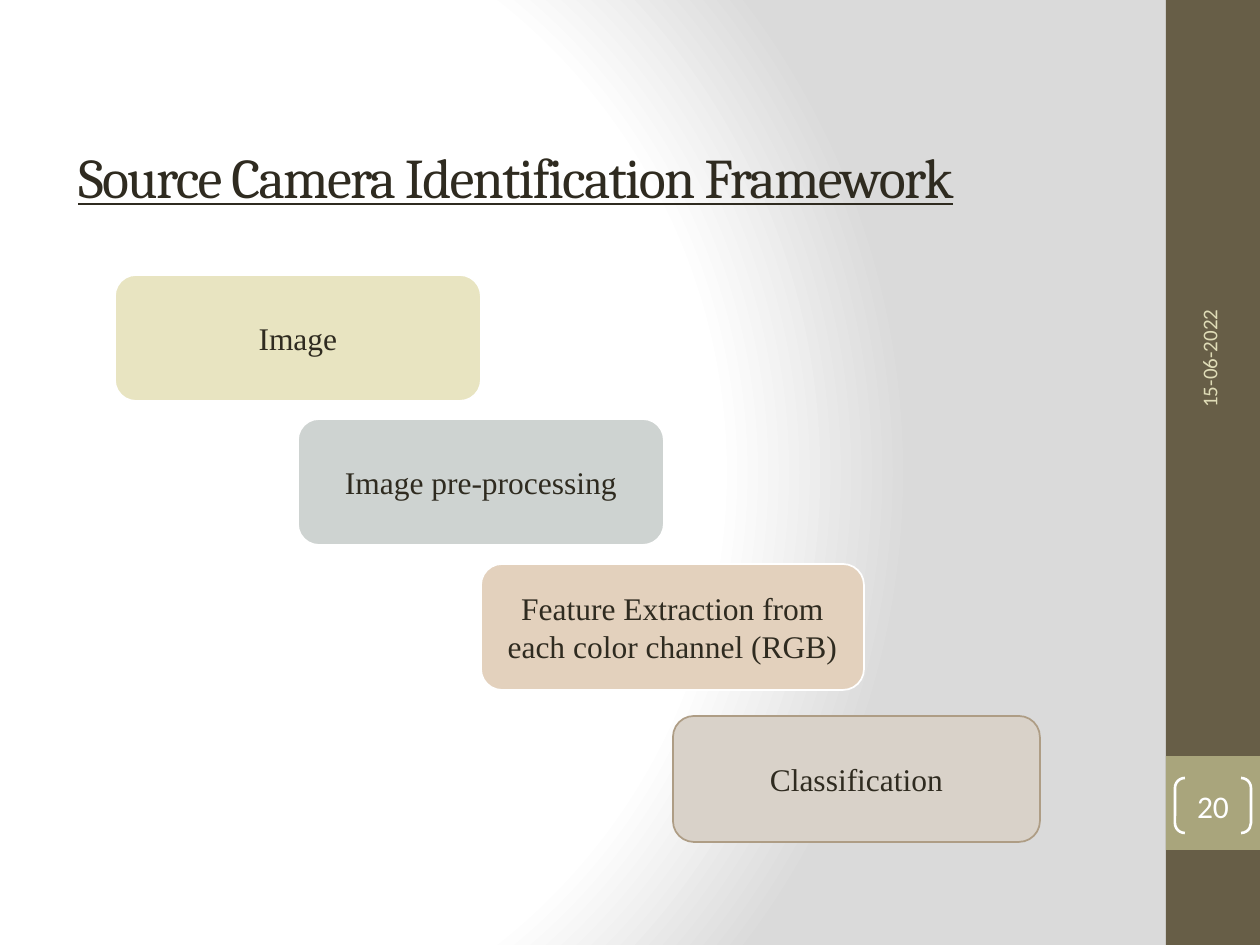
"""Build the source camera identification framework slide."""
from dataclasses import dataclass
from typing import Optional

from pptx import Presentation
from pptx.dml.color import RGBColor
from pptx.enum.shapes import MSO_SHAPE
from pptx.enum.text import MSO_ANCHOR, PP_ALIGN
from pptx.oxml import parse_xml
from pptx.oxml.ns import nsdecls, qn
from pptx.util import Emu, Pt

RECTANGLE = MSO_SHAPE.RECTANGLE
ROUNDED = MSO_SHAPE.ROUNDED_RECTANGLE
BRACKETS = MSO_SHAPE.DOUBLE_BRACKET
MIDDLE = MSO_ANCHOR.MIDDLE
LEFT, CENTER = PP_ALIGN.LEFT, PP_ALIGN.CENTER

EMU_PER_PIXEL = 914400 / 126
SLIDE_WIDTH, SLIDE_HEIGHT = 1260, 945
SIDEBAR_LEFT, SIDEBAR_WIDTH = 1166, 94
INK, WHITE = "2F2B20", "FFFFFF"
GLOW_STOPS = ((0, WHITE), (75, WHITE), (100, "DADADA"))


@dataclass(frozen=True)
class Box:
    left: int
    top: int
    width: int
    height: int


@dataclass(frozen=True)
class Label:
    text: str
    size: int
    font: str
    color: str
    align: PP_ALIGN = LEFT
    underline: bool = False
    spacing: int = 0


@dataclass(frozen=True)
class Step:
    text: str
    box: Box
    fill: str
    line: str = WHITE


STEPS = (
    Step("Image", Box(115, 275, 366, 126), "E8E4C1"),
    Step("Image pre-processing", Box(298, 419, 366, 126), "CED3D1"),
    Step("Feature Extraction from each color channel (RGB)",
         Box(481, 564, 383, 126), "E3D1BD"),
    Step("Classification", Box(673, 716, 367, 126), "D9D2C9", "AE9D85"),
)


def px(pixels: int) -> Emu:
    """Convert pixels to EMU."""
    return Emu(round(pixels * EMU_PER_PIXEL))


def place(box: Box) -> tuple:
    """Return the box lengths in EMU."""
    return px(box.left), px(box.top), px(box.width), px(box.height)


def rgb(color: str) -> RGBColor:
    """Convert a hex string to a colour."""
    return RGBColor.from_string(color)


def paint_background(slide) -> None:
    """Give the slide a circular gradient from white to grey."""
    slide.background.fill.gradient()
    linear = slide.element.find(".//" + qn("a:gradFill"))
    stops = "".join(
        f'<a:gs pos="{position * 1000}"><a:srgbClr val="{color}"/></a:gs>'
        for position, color in GLOW_STOPS)
    circular = parse_xml(
        f'<a:gradFill {nsdecls("a")} rotWithShape="1"><a:gsLst>{stops}</a:gsLst>'
        '<a:path path="circle">'
        '<a:fillToRect l="20000" t="50000" r="100000" b="50000"/>'
        '</a:path></a:gradFill>')
    linear.getparent().replace(linear, circular)


def write(shape, label: Label, inset: Optional[int] = None) -> None:
    """Write a label into a shape."""
    frame = shape.text_frame
    frame.word_wrap = True
    frame.vertical_anchor = MIDDLE
    if inset is not None:
        frame.margin_left = frame.margin_right = px(inset)
        frame.margin_top = frame.margin_bottom = px(inset)
    paragraph = frame.paragraphs[0]
    paragraph.alignment = label.align
    run = paragraph.add_run()
    run.text = label.text
    run.font.size = Pt(label.size)
    run.font.name = label.font
    run.font.color.rgb = rgb(label.color)
    if label.underline:
        run.font.underline = True
    if label.spacing:
        run._r.get_or_add_rPr().set("spc", str(label.spacing * 100))


def add_panel(slide, kind: MSO_SHAPE, box: Box, fill: Optional[str] = None,
              line: Optional[str] = None, line_width: float = 1):
    """Add a preset shape with the given fill and outline."""
    panel = slide.shapes.add_shape(kind, *place(box))
    panel.shadow.inherit = False
    if fill:
        panel.fill.solid()
        panel.fill.fore_color.rgb = rgb(fill)
    else:
        panel.fill.background()
    if line:
        panel.line.color.rgb = rgb(line)
        panel.line.width = Pt(line_width)
    else:
        panel.line.fill.background()
    return panel


def add_text(slide, box: Box, label: Label, rotation: int = 0) -> None:
    """Add a text box."""
    text_box = slide.shapes.add_textbox(*place(box))
    text_box.rotation = rotation
    write(text_box, label)


def add_sidebar(slide) -> None:
    """Add the side band with the date and the page number."""
    add_panel(slide, RECTANGLE,
              Box(SIDEBAR_LEFT, 0, SIDEBAR_WIDTH, SLIDE_HEIGHT), "675E47")
    add_panel(slide, RECTANGLE,
              Box(SIDEBAR_LEFT, 756, SIDEBAR_WIDTH, 94), "A9A57C")
    add_text(slide, Box(1041, 227, 336, 50),
             Label("15-06-2022", 12, "Calibri", "DFDCB7"), 270)
    page_number = add_panel(slide, BRACKETS, Box(1175, 778, 76, 55),
                            line=WHITE, line_width=1.5)
    page_number.adjustments[0] = 0.18
    write(page_number, Label("20", 18, "Calibri", WHITE, CENTER), 0)


def build() -> None:
    """Build and save the slide."""
    deck = Presentation()
    deck.slide_width, deck.slide_height = px(SLIDE_WIDTH), px(SLIDE_HEIGHT)
    slide = deck.slides.add_slide(deck.slide_layouts[6])
    paint_background(slide)
    add_sidebar(slide)
    add_text(slide, Box(66, 97, 1050, 158),
             Label("Source Camera Identification Framework", 32, "Cambria",
                   INK, underline=True, spacing=-1))
    for step in STEPS:
        panel = add_panel(slide, ROUNDED, step.box, step.fill, step.line)
        write(panel, Label(step.text, 18, "Times New Roman", INK, CENTER))
    deck.save("out.pptx")


build()
